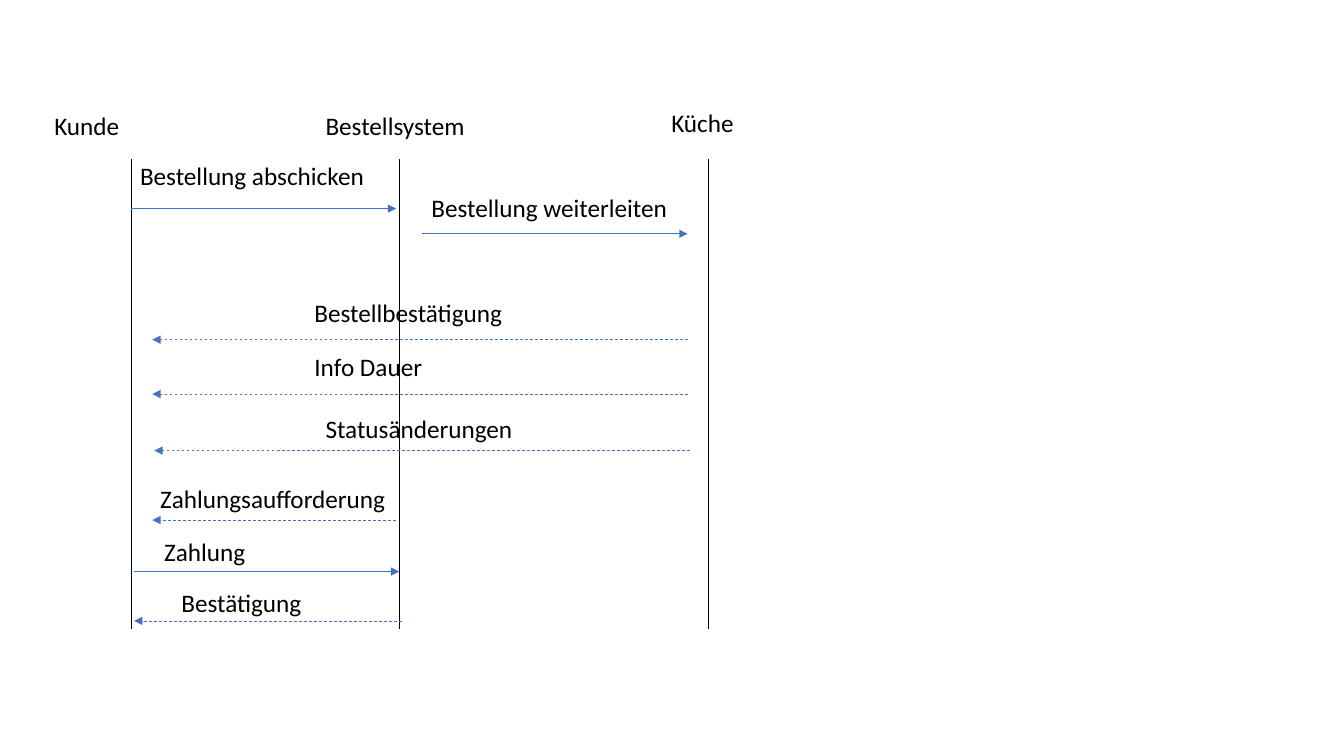
from dataclasses import dataclass

from lxml import etree
from pptx import Presentation
from pptx import util as u
from pptx.dml.color import RGBColor
from pptx.enum import dml, shapes, text
from pptx.oxml.ns import qn

PX = u.Inches(1) // 100  # one px is a hundredth of an inch


@dataclass(frozen=True)
class Theme:
    font: str = "Calibri"
    size: int = 18
    ink: str = "000000"
    arrow: str = "4472C4"
    line_width: float = 0.5
    label_height: int = 40


THEME = Theme()

# Name, label left, top and width, lifeline position
ACTORS = [
    ("Kunde", -86, -53, 86, 0),
    ("Bestellsystem", 183, -53, 159, 266),
    ("Küche", 526, -56, 83, 573),
]

# Wording, label left, top and width, arrow start, end and height
MESSAGES = [
    ("Bestellung abschicken", -1, -4, 245, 0, 263, 49),
    ("Bestellung weiterleiten", 288, 28, 257, 289, 552, 74),
    ("Bestellbestätigung", 172, 132, 209, 552, 21, 179),
    ("Info Dauer", 172, 186, 128, 552, 21, 233),
    ("Statusänderungen", 183, 247, 208, 554, 23, 289),
    ("Zahlungsaufforderung", 19, 317, 246, 263, 21, 358),
    ("Zahlung", 23, 369, 102, 3, 266, 409),
    ("Bestätigung", 40, 420, 141, 269, 3, 458),
]


def add_label(slide, wording, left, top, width):
    label = slide.shapes.add_textbox(
        left * PX, top * PX, width * PX, THEME.label_height * PX)
    frame = label.text_frame
    frame.word_wrap = False
    frame.auto_size = text.MSO_AUTO_SIZE.SHAPE_TO_FIT_TEXT
    frame.text = wording
    font = frame.paragraphs[0].runs[0].font
    for name, value in {"name": THEME.font, "size": u.Pt(THEME.size)}.items():
        setattr(font, name, value)
    font.color.rgb = RGBColor.from_string(THEME.ink)


def add_line(slide, start, end, color):
    connector = slide.shapes.add_connector(
        shapes.MSO_CONNECTOR.STRAIGHT, *(value * PX for value in start + end))
    connector.line.width = u.Pt(THEME.line_width)
    connector.line.color.rgb = RGBColor.from_string(color)
    etree.SubElement(connector._element.spPr, qn("a:effectLst"))
    return connector


def add_arrow(slide, start, end):
    """Answers, which run to the left, are dashed."""
    arrow = add_line(slide, start, end, THEME.arrow)
    if end[0] < start[0]:
        arrow.line.dash_style = dml.MSO_LINE.DASH
    line_properties = arrow.line._get_or_add_ln()
    etree.SubElement(line_properties, qn("a:tailEnd"), type="triangle")


def add_sequence_diagram(slide, left, top, height):
    # Actors and their lifelines
    for name, x, y, width, lifeline in ACTORS:
        add_line(slide, (left + lifeline, top),
                 (left + lifeline, top + height), THEME.ink)
        add_label(slide, name, left + x, top + y, width)

    # Messages and their arrows
    for wording, x, y, width, start, end, level in MESSAGES:
        add_arrow(slide, (left + start, top + level), (left + end, top + level))
        add_label(slide, wording, left + x, top + y, width)


def main():
    presentation = Presentation()
    presentation.slide_width = 1333 * PX
    presentation.slide_height = 750 * PX
    blank_layout = presentation.slide_layouts[6]
    slide = presentation.slides.add_slide(blank_layout)
    add_sequence_diagram(slide, left=130, top=158, height=466)
    presentation.save("out.pptx")


if __name__ == "__main__":
    main()
